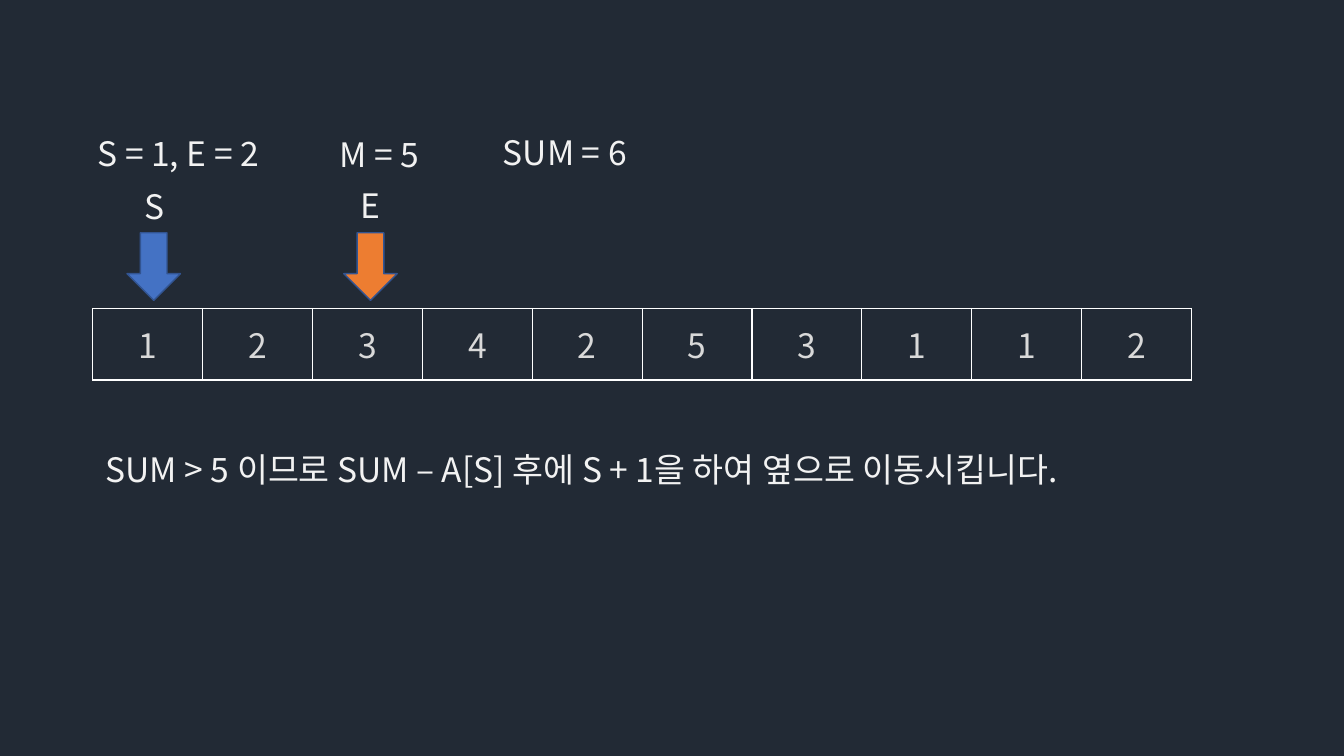
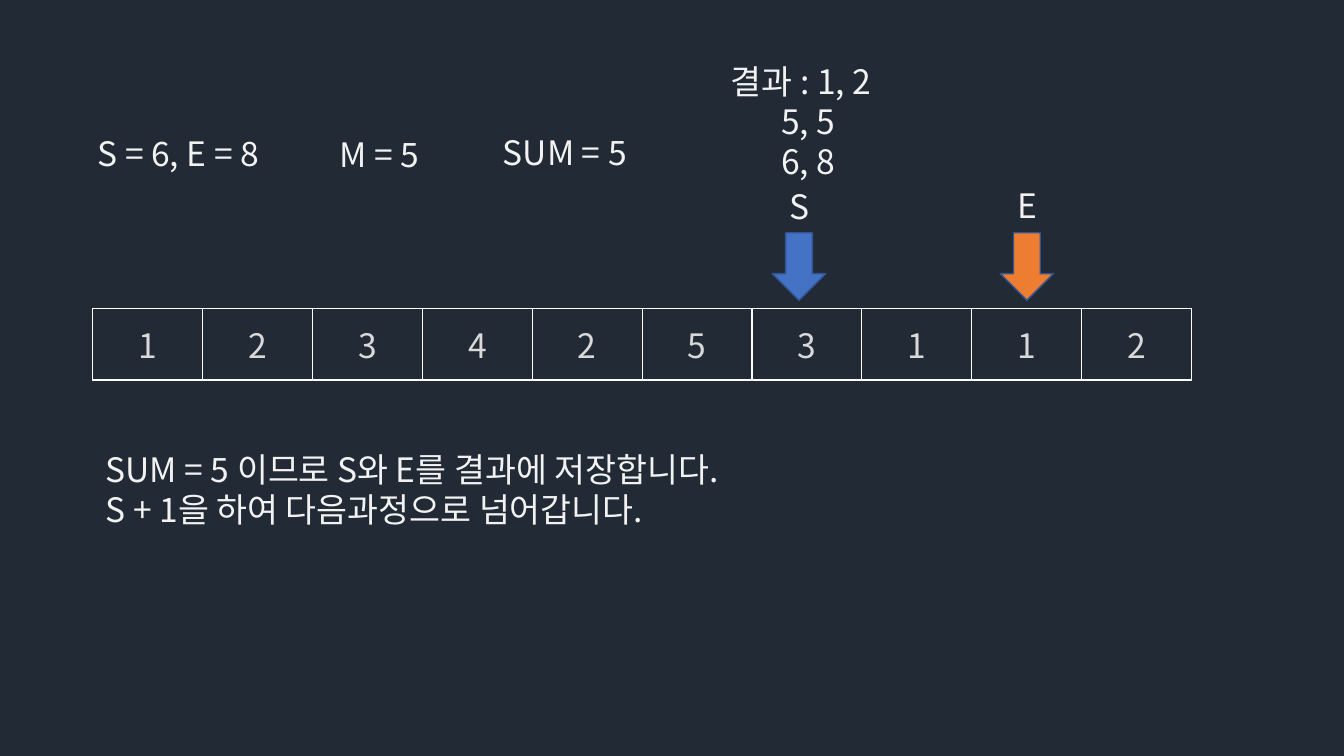
from dataclasses import dataclass

from lxml.etree import SubElement
from pptx import Presentation
from pptx.dml.color import RGBColor
from pptx.enum.shapes import MSO_SHAPE
from pptx.enum.text import MSO_ANCHOR, MSO_AUTO_SIZE, PP_ALIGN
from pptx.oxml.ns import qn
from pptx.util import Inches, Pt


@dataclass(frozen=True)
class Theme:
    background: str = "222A35"
    text: str = "F2F2F2"
    cell_text: str = "D9D9D9"
    border: str = "FFFFFF"
    start_arrow: str = "4472C4"
    end_arrow: str = "ED7D31"
    arrow_line: str = "325491"
    font: str = "Noto Sans CJK KR"
    size: int = 24
    line_width: int = 1


THEME = Theme()
ARRAY = [1, 2, 3, 4, 2, 5, 3, 1, 1, 2]
CELL_WIDTH, CELL_HEIGHT = 1.09, 0.71


def color(value):
    return RGBColor.from_string(value)


def style_paragraph(paragraph, text_color):
    font = paragraph.font
    font.size = Pt(THEME.size)
    font.name = THEME.font
    font.color.rgb = color(text_color)
    # Hangul takes its font from the East Asian slot
    properties = paragraph._p.get_or_add_pPr().get_or_add_defRPr()
    SubElement(properties, qn("a:ea"), typeface=THEME.font)


def add_text(slide, left, top, width, height, *lines):
    shape = slide.shapes.add_textbox(
        Inches(left), Inches(top), Inches(width), Inches(height))
    frame = shape.text_frame
    frame.word_wrap = True
    frame.auto_size = MSO_AUTO_SIZE.SHAPE_TO_FIT_TEXT
    frame.text = "\n".join(lines)
    for paragraph in frame.paragraphs:
        style_paragraph(paragraph, THEME.text)


def add_pointer(slide, label, left, label_top, fill):
    """A letter above an arrow that points down to the array."""
    shape = slide.shapes.add_shape(
        MSO_SHAPE.DOWN_ARROW,
        Inches(left), Inches(2.31), Inches(0.53), Inches(0.67))
    shape.shadow.inherit = False
    shape.fill.solid()
    shape.fill.fore_color.rgb = color(fill)
    shape.line.color.rgb = color(THEME.arrow_line)
    shape.line.width = Pt(THEME.line_width)
    add_text(slide, left + 0.07, label_top, 0.39, 0.5, label)


def add_borders(cell):
    properties = cell._tc.get_or_add_tcPr()
    for position, side in enumerate(("lnL", "lnR", "lnT", "lnB")):
        line = SubElement(properties, qn(f"a:{side}"),
                          w=str(Pt(THEME.line_width)))
        fill = SubElement(line, qn("a:solidFill"))
        SubElement(fill, qn("a:srgbClr"), val=THEME.border)
        # Borders must come before the cell fill
        properties.insert(position, line)


def add_array(slide, values):
    table = slide.shapes.add_table(
        1, len(values), Inches(0.92), Inches(3.06),
        Inches(CELL_WIDTH * len(values)), Inches(CELL_HEIGHT)).table
    table.first_row = False
    table.horz_banding = False
    for column, value in enumerate(values):
        table.columns[column].width = Inches(CELL_WIDTH)
        cell = table.cell(0, column)
        cell.text = str(value)
        cell.vertical_anchor = MSO_ANCHOR.MIDDLE
        cell.fill.background()
        add_borders(cell)
        paragraph = cell.text_frame.paragraphs[0]
        paragraph.alignment = PP_ALIGN.CENTER
        style_paragraph(paragraph, THEME.cell_text)


def add_step(presentation, start, end, total, start_left, end_left):
    """One step of the search: variables, pointers and array."""
    slide = presentation.slides.add_slide(presentation.slide_layouts[6])
    slide.background.fill.solid()
    slide.background.fill.fore_color.rgb = color(THEME.background)
    # Current variables
    add_text(slide, 0.87, 1.27, 2.63, 0.5, f"S = {start}, E = {end}")
    add_text(slide, 3.27, 1.28, 1.74, 0.5, "M = 5")
    add_text(slide, 4.89, 1.26, 1.74, 0.5, f"SUM = {total}")
    # Pointers and array
    add_pointer(slide, "S", start_left, 1.8, THEME.start_arrow)
    add_pointer(slide, "E", end_left, 1.79, THEME.end_arrow)
    add_array(slide, ARRAY)
    return slide


def add_explanation(slide, height, *lines):
    add_text(slide, 0.95, 4.4, 10.89, height, *lines)


def main():
    presentation = Presentation()
    presentation.slide_width = Inches(13.33)
    presentation.slide_height = Inches(7.5)

    # Sum too large: move S
    slide = add_step(presentation, 1, 2, 6, 1.26, 3.41)
    add_explanation(
        slide, 0.5,
        "SUM > 5 이므로 SUM – A[S] 후에 S + 1을 하여 옆으로 이동시킵니다.")

    # Sum matches: store the result
    slide = add_step(presentation, 6, 8, 5, 7.66, 9.92)
    add_text(slide, 7.15, 0.55, 4.69, 1.31,
             "결과 : 1, 2", "\t5, 5", "\t6, 8")
    add_explanation(
        slide, 0.91,
        "SUM = 5 이므로 S와 E를 결과에 저장합니다.",
        "S + 1을 하여 다음과정으로 넘어갑니다.")

    presentation.save("out.pptx")


if __name__ == "__main__":
    main()
